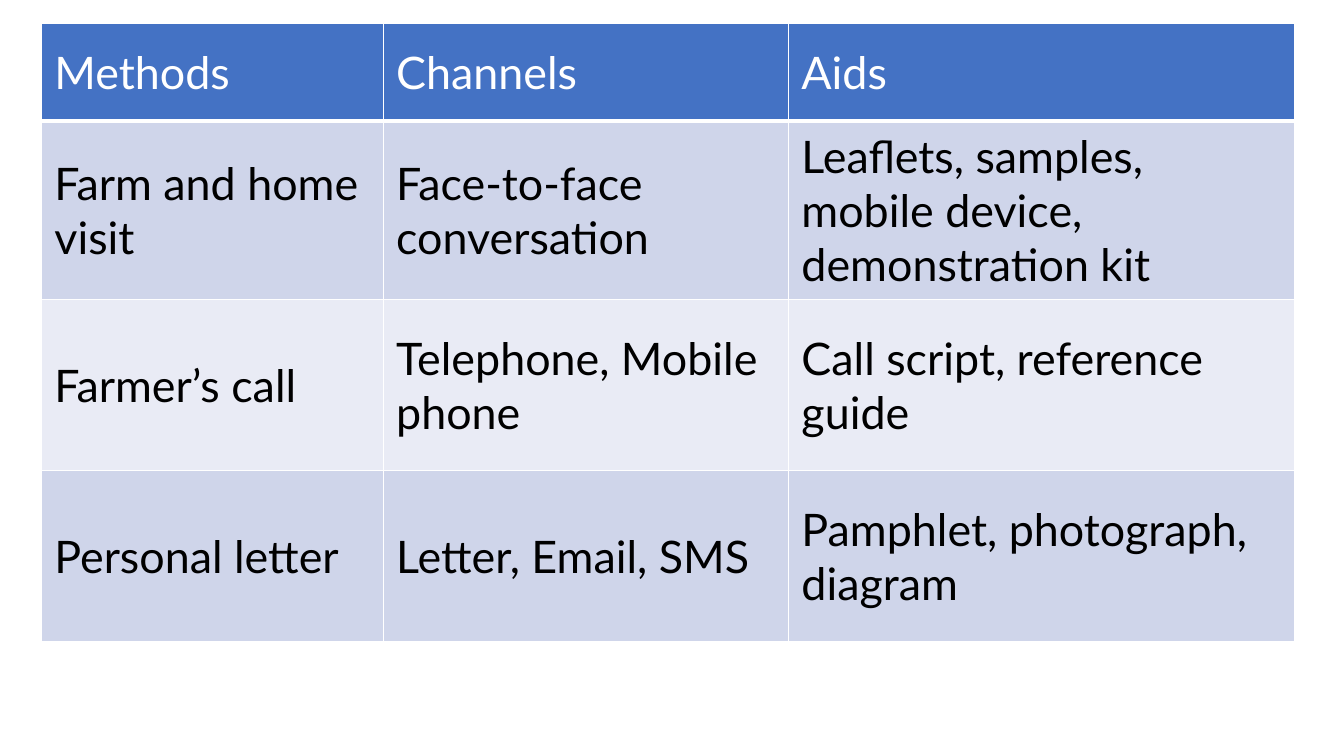
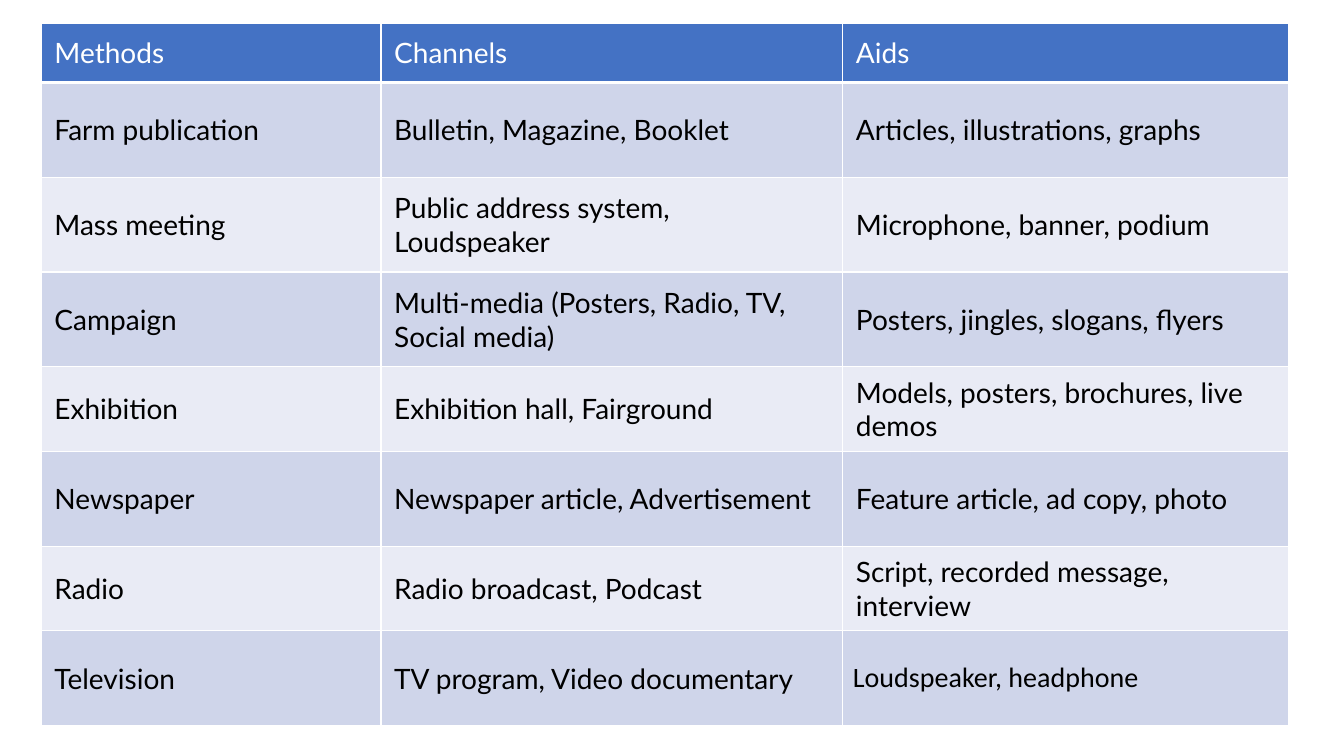
import pptx
import pptx.dml.color
import pptx.enum.text
import pptx.oxml
import pptx.oxml.ns
import pptx.util

Inches = pptx.util.Inches
Pt = pptx.util.Pt

HEADS = ["Methods", "Channels", "Aids"]
DIRECT = [
    ["Farm and home visit", "Face-to-face conversation",
     "Leaflets, samples, mobile device, demonstration kit"],
    ["Farmer’s call", "Telephone, Mobile phone", "Call script, reference guide"],
    ["Personal letter", "Letter, Email, SMS", "Pamphlet, photograph, diagram"],
]
MASS = [
    ["Farm publication", "Bulletin, Magazine, Booklet",
     "Articles, illustrations, graphs"],
    ["Mass meeting", "Public address system, Loudspeaker",
     "Microphone, banner, podium"],
    ["Campaign", "Multi-media (Posters, Radio, TV, Social media)",
     "Posters, jingles, slogans, flyers"],
    ["Exhibition", "Exhibition hall, Fairground",
     "Models, posters, brochures, live demos"],
    ["Newspaper", "Newspaper article, Advertisement",
     "Feature article, ad copy, photo"],
    ["Radio", "Radio broadcast, Podcast", "Script, recorded message, interview"],
    ["Television", "TV program, Video documentary", "Loudspeaker, headphone"],
]


class Deck:
    colors = {"head": "4472C4", "odd": "CFD5EA", "even": "E9EBF5",
              "line": "FFFFFF", "light": "FFFFFF", "dark": "000000"}
    pads = {"margin_left": Inches(0.13), "margin_right": Inches(0.13),
            "margin_top": Inches(0.08), "margin_bottom": Inches(0.08),
            "vertical_anchor": pptx.enum.text.MSO_ANCHOR.MIDDLE}
    tight = {"margin_left": Inches(0.1), "margin_right": Inches(0.1),
             "margin_top": Inches(0.05), "margin_bottom": Inches(0.05)}

    def __init__(self):
        self.prs = pptx.Presentation()
        self.prs.slide_width = Inches(13.33)
        self.prs.slide_height = Inches(7.5)
        self.slide = None

    def page(self):
        self.slide = self.prs.slides.add_slide(self.prs.slide_layouts[6])

    def color(self, name):
        return pptx.dml.color.RGBColor.from_string(self.colors[name])

    def apply(self, target, values):
        for name, value in values.items():
            setattr(target, name, value)

    def edges(self, cell, top, bottom):
        # Borders come before the fill in the cell properties
        props = cell._tc.get_or_add_tcPr()
        for side, width in zip("LRTB", (1, 1, top, bottom)):
            props.append(pptx.oxml.parse_xml(
                f'<a:ln{side} {pptx.oxml.ns.nsdecls("a")} w="{Pt(width)}">'
                f'<a:solidFill><a:srgbClr val="{self.colors["line"]}"/></a:solidFill>'
                f'</a:ln{side}>'))

    def cell(self, cell, text, row, size):
        self.edges(cell, 3 if row == 1 else 1, 3 if row == 0 else 1)
        band = "head" if row == 0 else ("odd" if row % 2 else "even")
        cell.fill.solid()
        cell.fill.fore_color.rgb = self.color(band)
        self.apply(cell, self.pads)
        cell.text = text
        font = cell.text_frame.paragraphs[0].runs[0].font
        self.apply(font, {"name": "Lato", "size": Pt(size), "bold": False})
        font.color.rgb = self.color("dark" if row else "light")

    def table(self, data, widths, heights, size):
        frame = self.slide.shapes.add_table(
            len(data), len(widths), Inches(0.41), Inches(0.23),
            Inches(sum(widths)), Inches(sum(heights)))
        table = frame.table
        for col, width in zip(table.columns, widths):
            col.width = Inches(width)
        for row, height in zip(table.rows, heights):
            row.height = Inches(height)
        for r, texts in enumerate(data):
            for c, text in enumerate(texts):
                self.cell(table.cell(r, c), text, r, size)
        return table


def main():
    deck = Deck()

    # Individual methods
    deck.page()
    deck.table([HEADS] + DIRECT, [3.39, 4.02, 5.02], [0.97, 1.77, 1.7, 1.7], 32)

    # Mass methods
    deck.page()
    table = deck.table([HEADS] + MASS, [3.37, 4.58, 4.42],
                       [0.59] + [0.94] * 3 + [0.84, 0.94] * 2, 20)

    # The last cell has its own font and tighter margins
    last = table.cell(len(MASS), 2)
    deck.apply(last, deck.tight)
    last.text_frame.paragraphs[0].runs[0].font.name = "Calibri"

    deck.prs.save("out.pptx")


if __name__ == "__main__":
    main()
